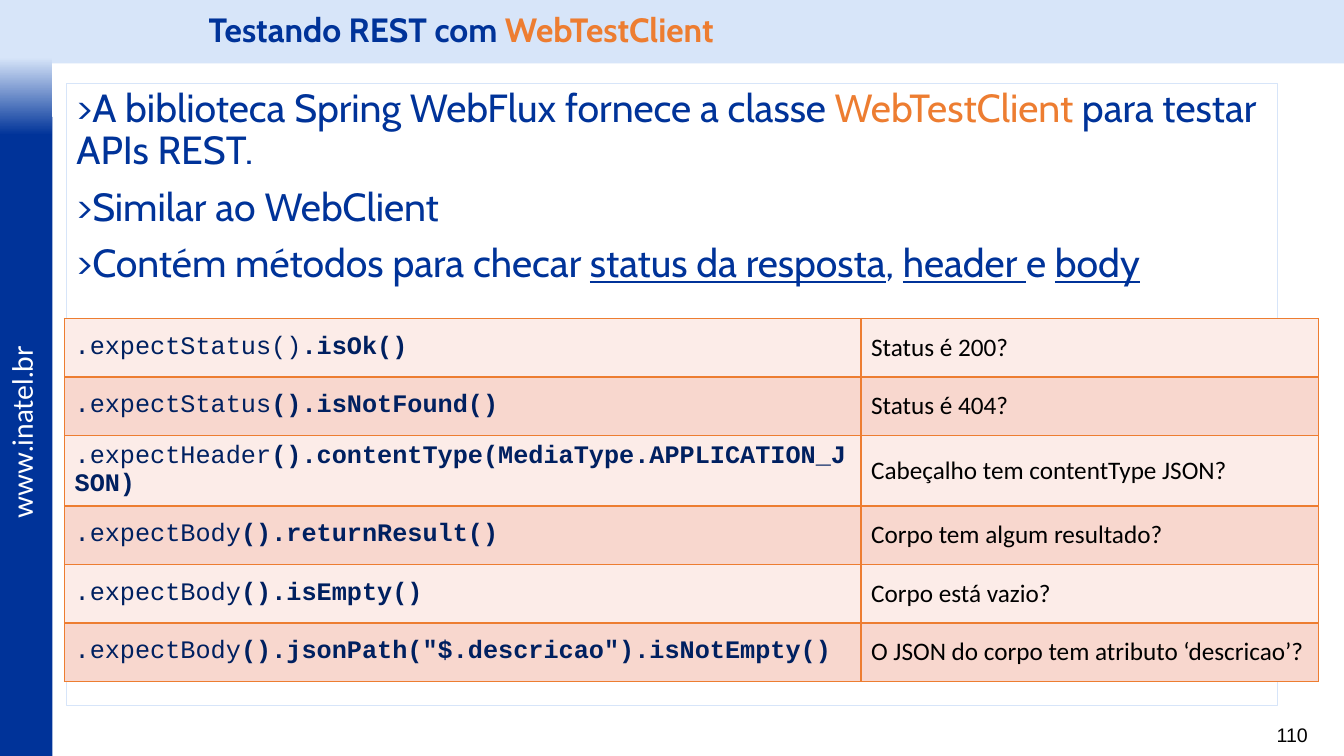
from dataclasses import dataclass

from lxml import etree
from pptx import Presentation
from pptx.dml import color
from pptx.enum import shapes, text
from pptx.oxml import ns
from pptx.util import Inches, Pt


@dataclass(frozen=True)
class Theme:
    pale: str = "D7E5F9"
    blue: str = "003399"
    navy: str = "002060"
    orange: str = "ED7D31"
    black: str = "000000"
    white: str = "FFFFFF"
    bands: tuple = ("FCECE8", "F8D7CE")
    head: str = "Cabin"
    code: str = "Courier New"
    cell: str = "Calibri"
    body_size: int = 28
    title_size: int = 24
    url_size: int = 20
    table_size: int = 18
    number_size: int = 14


T = Theme()


def rgb(value):
    return color.RGBColor.from_string(value)


def add_run(p, words, size, font, ink, bold=False, underline=False):
    r = p.add_run()
    r.text = words
    f = r.font
    f.size, f.name, f.bold, f.underline = Pt(size), font, bold, underline
    f.color.rgb = rgb(ink)


def add_box(s, left, top, width, height, fill=None, line=None):
    sp = s.shapes.add_shape(shapes.MSO_SHAPE.RECTANGLE, Inches(left),
                            Inches(top), Inches(width), Inches(height))
    sp.shadow.inherit = False
    if fill:
        sp.fill.solid()
        sp.fill.fore_color.rgb = rgb(fill)
    if line:
        sp.line.color.rgb = rgb(line)
        sp.line.width = Pt(1)
    else:
        sp.line.fill.background()
    return sp


def add_textbox(s, left, top, width, height):
    tb = s.shapes.add_textbox(Inches(left), Inches(top),
                              Inches(width), Inches(height))
    tb.text_frame.word_wrap = True
    return tb


# Bands along the top and left edges, with the web address
def add_frame(s, width, height, bar_w=0.52, bar_top=1.16):
    add_box(s, 0, 0, width, 0.63, T.pale)
    add_box(s, 0, bar_top, bar_w, height - bar_top, T.blue)
    fade = add_box(s, 0, 0.57, bar_w, 0.77)
    fade.fill.gradient()
    fade.fill.gradient_angle = 270
    for stop, ink, pos in zip(fade.fill.gradient_stops, (T.pale, T.blue), (0, 1)):
        stop.color.rgb = rgb(ink)
        stop.position = pos

    tb = add_textbox(s, -0.72, 4.09, 1.87, 0.43)
    tb.rotation = 270
    tb.text_frame.margin_right = 0
    add_run(tb.text_frame.paragraphs[0], "www.inatel.br", T.url_size, "Lato", T.white)


def add_page_number(s, left, top, width, height, number):
    p = add_textbox(s, left, top, width, height).text_frame.paragraphs[0]
    p.alignment = text.PP_ALIGN.RIGHT
    add_run(p, number, T.number_size, "Arial", T.black)


def add_title(s, left, top, width, height, parts):
    tf = add_textbox(s, left, top, width, height).text_frame
    tf.vertical_anchor = text.MSO_ANCHOR.MIDDLE
    p = tf.paragraphs[0]
    p.line_spacing = 0.9
    for words, ink in parts:
        add_run(p, words, T.title_size, T.head, ink, bold=True)


# Outlined box; each paragraph is a list of (words, format) pairs
def add_body(s, left, top, width, height, paragraphs):
    tf = add_box(s, left, top, width, height, T.white, T.pale).text_frame
    tf.word_wrap = True
    tf.vertical_anchor = text.MSO_ANCHOR.TOP
    for i, parts in enumerate(paragraphs):
        p = tf.add_paragraph() if i else tf.paragraphs[0]
        p.alignment = text.PP_ALIGN.LEFT
        p.line_spacing = 0.9
        if i:
            p.space_before = Pt(10)
        for words, fmt in parts:
            add_run(p, words, T.body_size, T.head, **{"ink": T.blue, **fmt})


def set_borders(cell, ink):
    tc_pr = cell._tc.get_or_add_tcPr()
    for side in ("lnL", "lnR", "lnT", "lnB"):
        ln = etree.SubElement(tc_pr, ns.qn(f"a:{side}"), w=str(Pt(1)))
        fill = etree.SubElement(ln, ns.qn("a:solidFill"))
        etree.SubElement(fill, ns.qn("a:srgbClr"), val=ink)


# Method calls on the left, the question each one answers on the right
def add_methods(s, left, top, col_widths, row_h, rows):
    table = s.shapes.add_table(len(rows), len(col_widths), Inches(left), Inches(top),
                               Inches(sum(col_widths)),
                               Inches(row_h * len(rows))).table
    table.first_row = False
    for col, w in zip(table.columns, col_widths):
        col.width = Inches(w)
    for i, (call, check, question) in enumerate(rows):
        table.rows[i].height = Inches(row_h)
        for cell in table.rows[i].cells:
            set_borders(cell, T.orange)
            cell.fill.solid()
            cell.fill.fore_color.rgb = rgb(T.bands[i % 2])
            cell.vertical_anchor = text.MSO_ANCHOR.MIDDLE
        p, answer = (c.text_frame.paragraphs[0] for c in table.rows[i].cells)
        add_run(p, call, T.table_size, T.code, T.navy)
        add_run(p, check, T.table_size, T.code, T.navy, bold=True)
        add_run(answer, question, T.table_size, T.cell, T.black)


TITLE = [("Testando REST com ", T.blue), ("WebTestClient", T.orange)]

UNDER = {"underline": True}
BODY = [
    [(">A biblioteca Spring WebFlux fornece a classe ", {}),
     ("WebTestClient", {"ink": T.orange}), (" para testar APIs REST.", {})],
    [(">Similar ao WebClient", {})],
    [(">Contém métodos para checar ", {}), ("status da resposta", UNDER),
     (", ", {}), ("header ", UNDER), ("e ", {}), ("body", UNDER)],
]

METHODS = [
    (".expectStatus()", ".isOk()", "Status é 200?"),
    (".expectStatus", "().isNotFound()", "Status é 404?"),
    (".expectHeader", "().contentType(MediaType.APPLICATION_JSON)",
     "Cabeçalho tem contentType JSON?"),
    (".expectBody", "().returnResult()", "Corpo tem algum resultado?"),
    (".expectBody", "().isEmpty()", "Corpo está vazio?"),
    (".expectBody", '().jsonPath("$.descricao").isNotEmpty()',
     "O JSON do corpo tem atributo ‘descricao’?"),
]


def main():
    width, height = 13.33, 7.5
    prs = Presentation()
    prs.slide_width, prs.slide_height = Inches(width), Inches(height)
    s = prs.slides.add_slide(prs.slide_layouts[6])
    add_frame(s, width, height)
    add_page_number(s, 12.42, 7.12, 0.65, 0.34, "110")
    add_body(s, 0.66, 0.83, 12.01, 6.17, BODY)
    add_title(s, 1.97, 0, width - 1.97, 0.63, TITLE)
    add_methods(s, 0.64, 3.16, (7.9, 4.54), 0.58, METHODS)
    prs.save("out.pptx")


if __name__ == "__main__":
    main()
